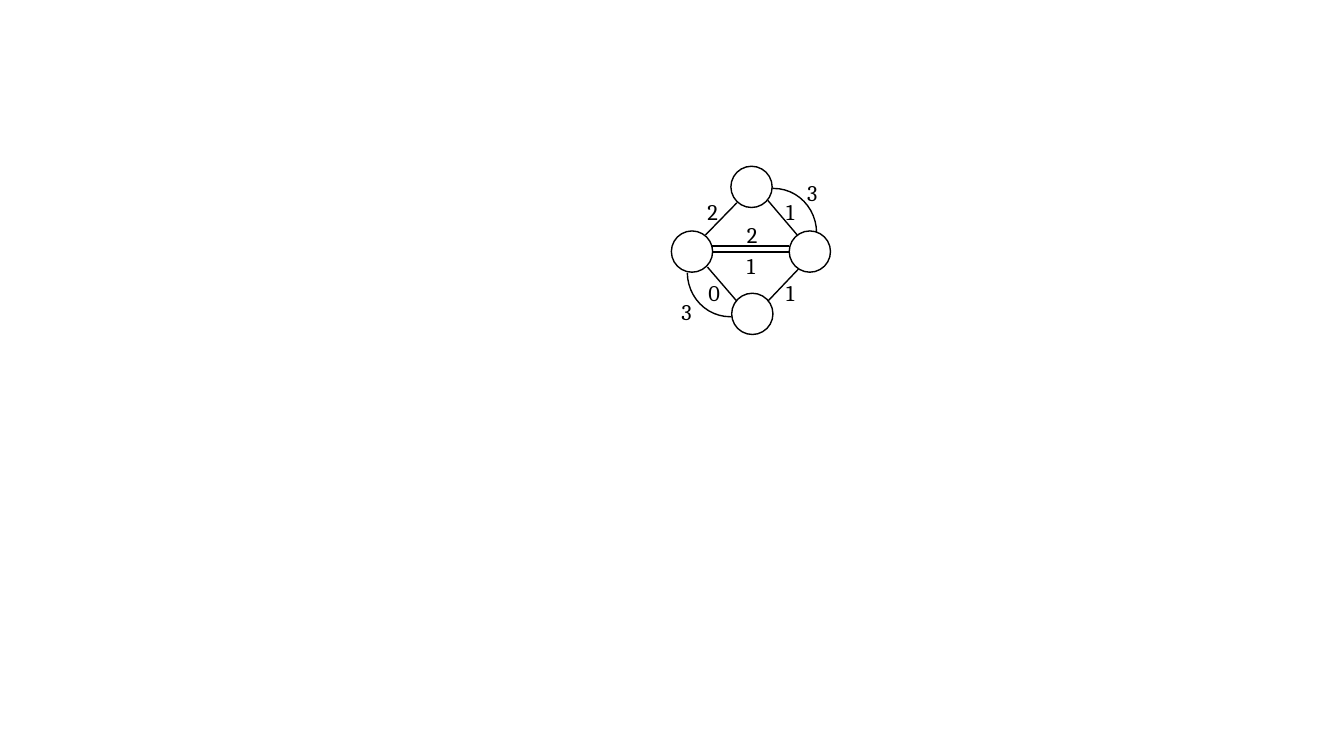
from dataclasses import dataclass

from lxml import etree
from pptx import Presentation
from pptx.dml.color import RGBColor
from pptx.enum.shapes import MSO_CONNECTOR, MSO_SHAPE
from pptx.enum.text import MSO_AUTO_SIZE
from pptx.oxml.ns import qn
from pptx.slide import Slide
from pptx.util import Cm, Pt

STRAIGHT = MSO_CONNECTOR.STRAIGHT
OVAL = MSO_SHAPE.OVAL
ARC = MSO_SHAPE.ARC
GROW = MSO_AUTO_SIZE.SHAPE_TO_FIT_TEXT

COLOURS = {"ink": "000000", "paper": "FFFFFF"}
NODE_SIZE = 1.04
LABEL_HEIGHT = 0.94
ARC_WIDTH, ARC_HEIGHT = 2.16, 2.24
ARC_START, ARC_END = 160.91, 215.58


@dataclass
class Node:
    left: float
    top: float


@dataclass
class Edge:
    start_x: float
    start_y: float
    end_x: float
    end_y: float


@dataclass
class CurvedEdge:
    left: float
    top: float
    rotation: float


@dataclass
class Label:
    text: str
    left: float
    top: float
    width: float


NODES = [
    Node(16.92, 5.82),
    Node(19.89, 5.82),
    Node(18.44, 7.39),
    Node(18.42, 4.19),
]
EDGES = [
    Edge(18.57, 5.11, 17.78, 5.92),
    Edge(20.09, 5.92, 19.35, 5.05),
    Edge(17.83, 6.73, 18.57, 7.59),
    Edge(20.12, 6.78, 19.35, 7.59),
    Edge(19.89, 6.35, 17.96, 6.35),
    Edge(17.93, 6.2, 19.89, 6.2),
]
CURVED_EDGES = [CurvedEdge(17.32, 5.74, 180), CurvedEdge(18.42, 4.75, 0)]
LABELS = [
    Label("2", 17.58, 4.88, 0.61),
    Label("1", 19.56, 4.88, 0.84),
    Label("0", 17.6, 6.91, 0.61),
    Label("1", 19.56, 6.91, 0.84),
    Label("1", 18.57, 6.22, 0.84),
    Label("2", 18.57, 5.44, 0.84),
    Label("3", 16.92, 7.39, 0.79),
    Label("3", 20.09, 4.39, 0.79),
]


def colour(name: str) -> RGBColor:
    return RGBColor.from_string(COLOURS[name])


def set_outline(shape) -> None:
    shape.line.color.rgb = colour("ink")
    shape.line.width = Pt(1)


def draw_node(page: Slide, node: Node) -> None:
    circle = page.shapes.add_shape(
        OVAL, Cm(node.left), Cm(node.top), Cm(NODE_SIZE), Cm(NODE_SIZE))
    circle.shadow.inherit = False
    circle.fill.solid()
    circle.fill.fore_color.rgb = colour("paper")
    set_outline(circle)


def draw_edge(page: Slide, edge: Edge) -> None:
    line = page.shapes.add_connector(
        STRAIGHT, Cm(edge.start_x), Cm(edge.start_y),
        Cm(edge.end_x), Cm(edge.end_y))
    set_outline(line)
    etree.SubElement(line._element.spPr, qn("a:effectLst"))


def draw_curved_edge(page: Slide, curve: CurvedEdge) -> None:
    arc = page.shapes.add_shape(
        ARC, Cm(curve.left), Cm(curve.top), Cm(ARC_WIDTH), Cm(ARC_HEIGHT))
    arc.adjustments[0] = ARC_START
    arc.adjustments[1] = ARC_END
    arc.rotation = curve.rotation
    arc.shadow.inherit = False
    arc.fill.background()
    set_outline(arc)


def write_text(paragraph, text: str, *, size: float = 16,
               font: str = "Cambria", ink: str = "ink") -> None:
    span = paragraph.add_run()
    span.text = text
    span.font.size = Pt(size)
    span.font.name = font
    span.font.color.rgb = colour(ink)


def draw_label(page: Slide, label: Label) -> None:
    box = page.shapes.add_textbox(
        Cm(label.left), Cm(label.top), Cm(label.width), Cm(LABEL_HEIGHT))
    box.text_frame.word_wrap = True
    box.text_frame.auto_size = GROW
    write_text(box.text_frame.paragraphs[0], label.text)


def main() -> None:
    deck = Presentation()
    deck.slide_width = Cm(33.87)
    deck.slide_height = Cm(19.05)
    page = deck.slides.add_slide(deck.slide_layouts[6])
    for node in NODES:
        draw_node(page, node)
    for edge in EDGES:
        draw_edge(page, edge)
    for curve in CURVED_EDGES:
        draw_curved_edge(page, curve)
    for label in LABELS:
        draw_label(page, label)
    deck.save("out.pptx")


if __name__ == "__main__":
    main()
